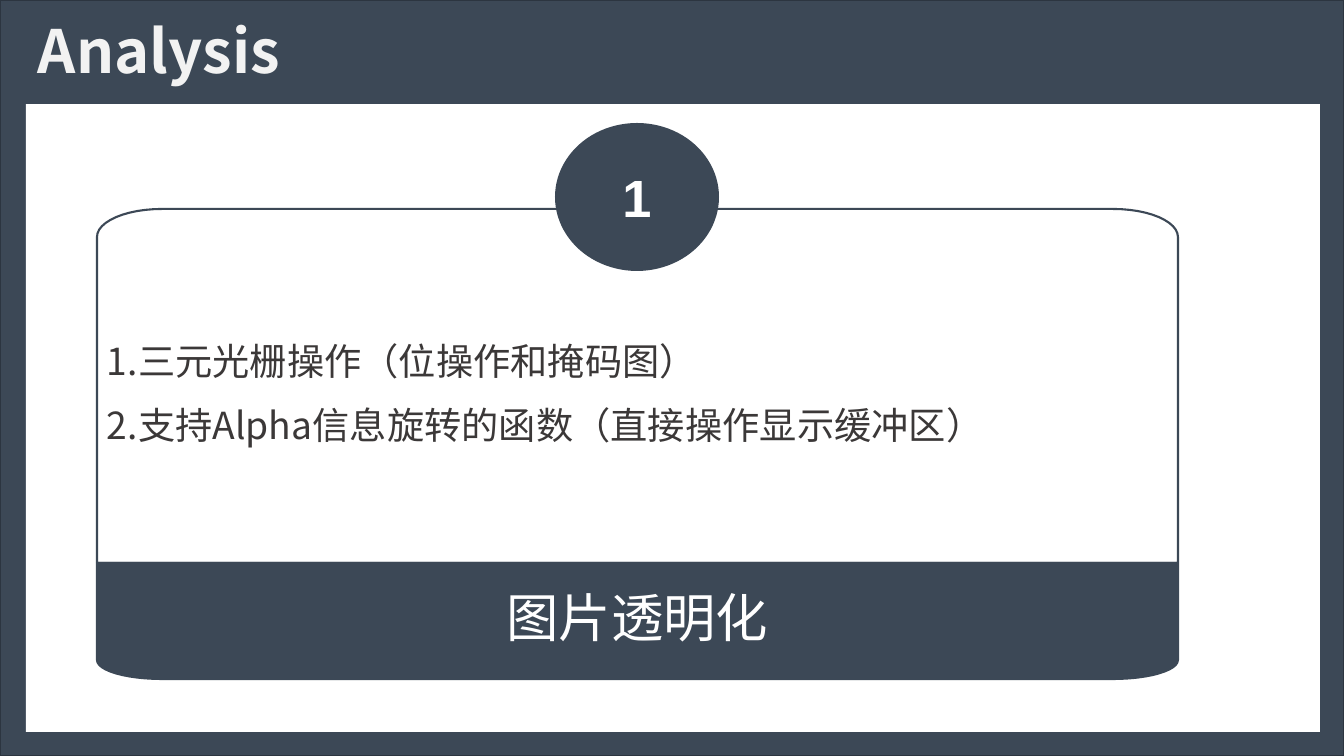
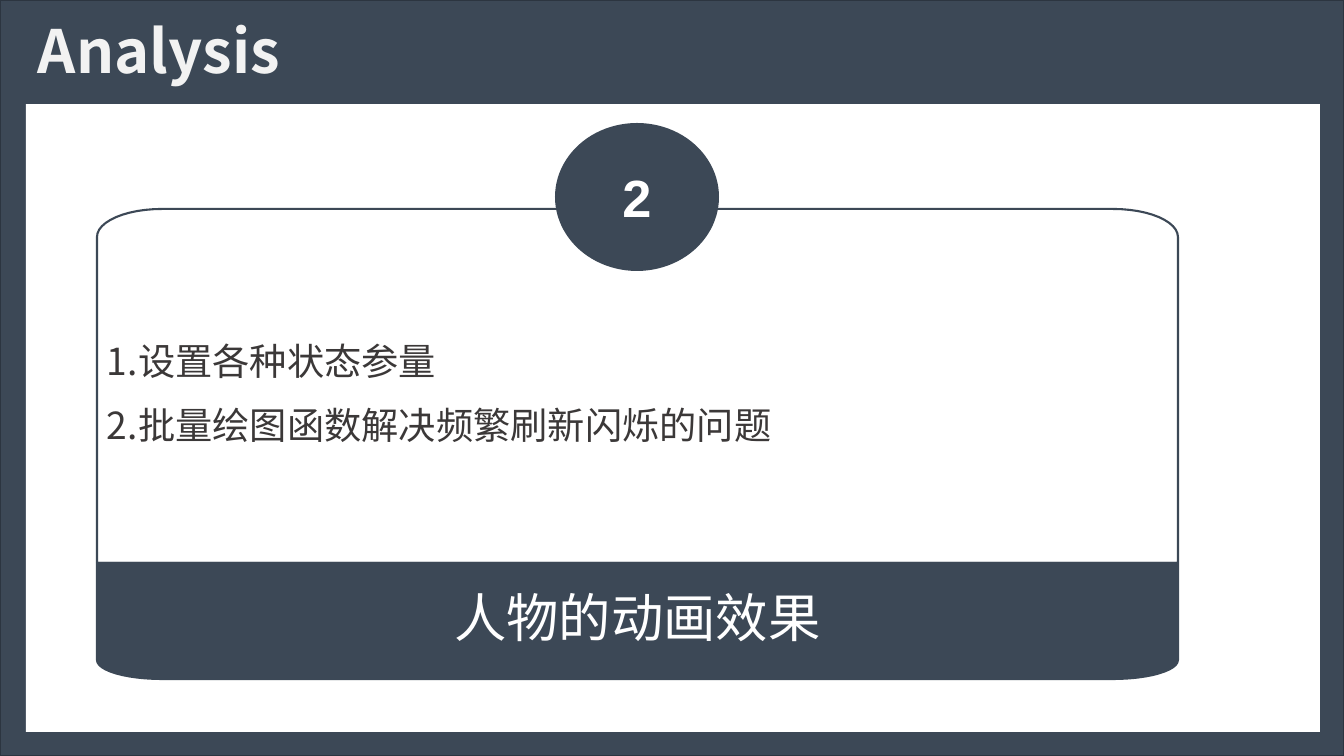
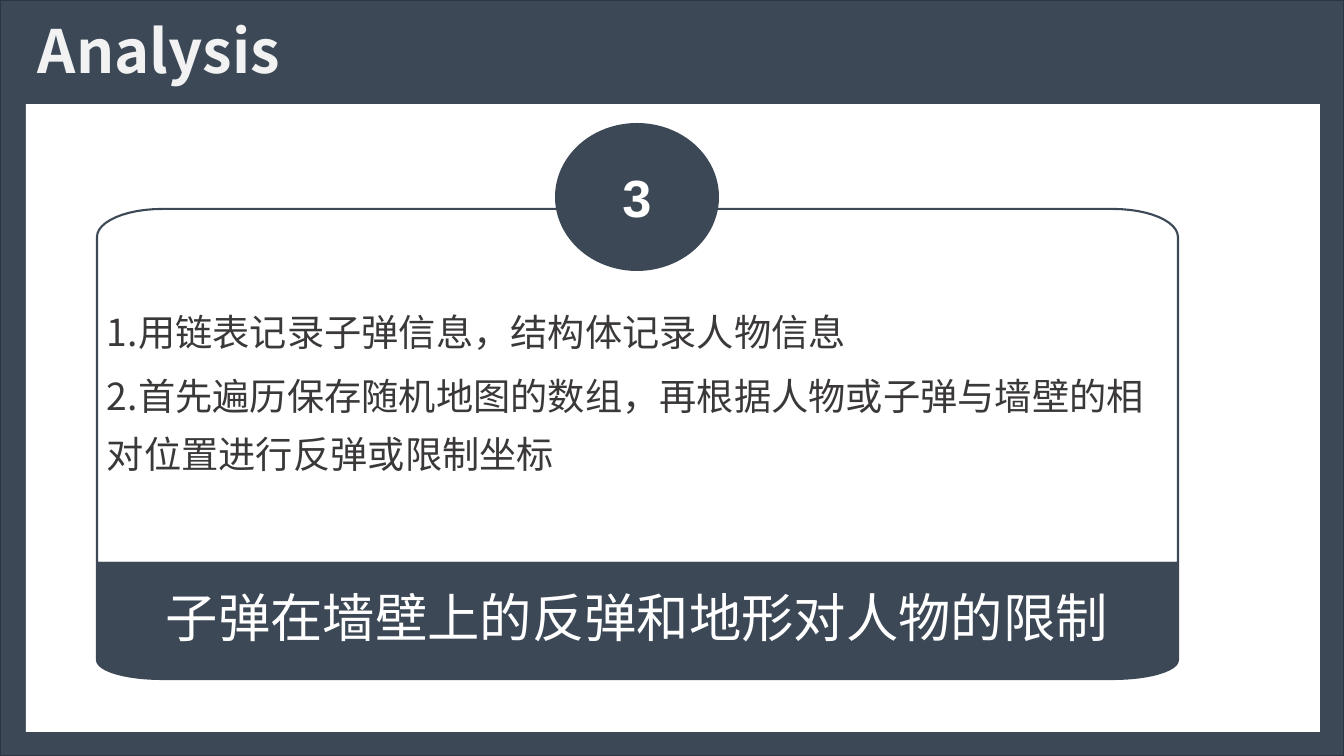
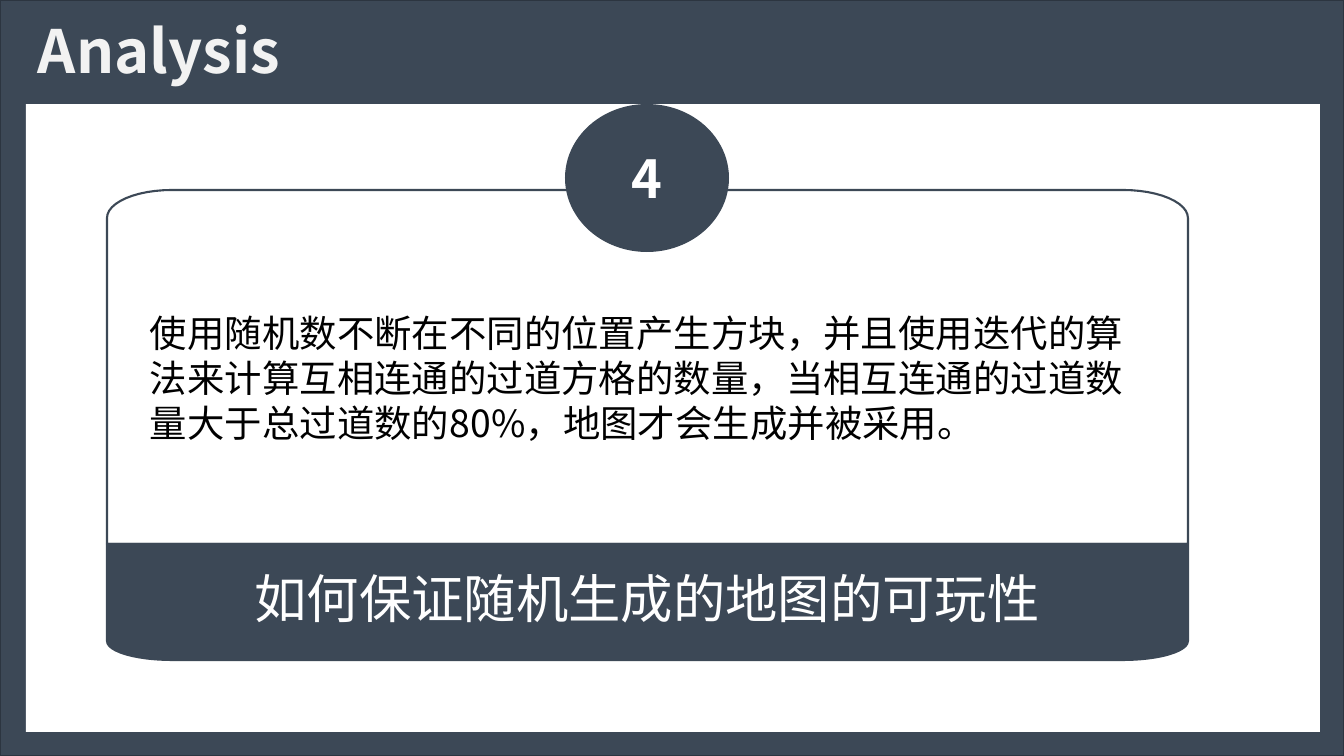
"""Build the four Analysis slides, each a numbered card with a caption band."""
from dataclasses import dataclass
from math import cos, pi, sin

from lxml import etree
from pptx import Presentation
from pptx.dml.color import RGBColor
from pptx.enum.shapes import MSO_SHAPE
from pptx.enum.text import MSO_ANCHOR, PP_ALIGN
from pptx.oxml.ns import qn
from pptx.util import Emu, Pt

RECT, OVAL = MSO_SHAPE.RECTANGLE, MSO_SHAPE.OVAL
LEFT, CENTER = PP_ALIGN.LEFT, PP_ALIGN.CENTER
TOP, MIDDLE = MSO_ANCHOR.TOP, MSO_ANCHOR.MIDDLE

W, H = 1344, 756
PX = 12192000 / W


@dataclass(frozen=True)
class Theme:
    slate: str = "3C4856"
    edge: str = "2C3540"
    white: str = "FFFFFF"
    title: str = "F2F2F2"
    body: str = "3B3838"
    black: str = "000000"
    sans: str = "Noto Sans CJK SC"
    digit: str = "Arial"
    title_pt: float = 42.6
    big_pt: float = 37.4
    body_pt: float = 26.6
    note_pt: float = 26.7


T = Theme()


def paint(sp, fill, line=None, width=1.5):
    sp.shadow.inherit = False
    sp.fill.solid()
    sp.fill.fore_color.rgb = RGBColor.from_string(fill)
    if line:
        sp.line.color.rgb = RGBColor.from_string(line)
        sp.line.width = Pt(width)
    else:
        sp.line.fill.background()


def write(sp, lines, size, color, font=T.sans, bold=False, align=LEFT,
          anchor=MIDDLE, spacing=1.0, after=0, inset=None):
    tf = sp.text_frame
    tf.word_wrap = True
    tf.vertical_anchor = anchor
    if inset is not None:
        tf.margin_left = tf.margin_right = Emu(round(inset * PX))
        tf.margin_top = tf.margin_bottom = 0
    for i, line in enumerate(lines):
        p = tf.add_paragraph() if i else tf.paragraphs[0]
        p.alignment = align
        p.line_spacing = spacing
        p.space_after = Pt(after)
        r = p.add_run()
        r.text = line
        r.font.size = Pt(size)
        r.font.bold = bold
        r.font.name = font
        r.font.color.rgb = RGBColor.from_string(color)
        etree.SubElement(r.font._element, qn("a:ea"), typeface=T.sans)


CARD_W, CARD_H, BAND_H = 1081, 354, 116
CORNER_W, CARD_CORNER, BAND_CORNER = 65, 28, 19
BADGE_W, BADGE_H, BADGE_RISE = 164, 148, 86
ARC = [i * pi / 24 for i in range(13)]

slides = [
    (97, 209, "1", T.digit, "图片透明化",
     ["1.三元光栅操作（位操作和掩码图）",
      "2.支持Alpha信息旋转的函数（直接操作显示缓冲区）"], None),
    (97, 209, "2", T.digit, "人物的动画效果",
     ["1.设置各种状态参量", "2.批量绘图函数解决频繁刷新闪烁的问题"], None),
    (97, 209, "3", T.digit, "子弹在墙壁上的反弹和地形对人物的限制",
     ["1.用链表记录子弹信息，结构体记录人物信息",
      "2.首先遍历保存随机地图的数组，再根据人物或子弹与墙壁的相对位置进行反弹或限制坐标"], None),
    (107, 190, "4", T.sans, "如何保证随机生成的地图的可玩性", [],
     "使用随机数不断在不同的位置产生方块，并且使用迭代的算法来计算互相连通的过道方格的数量，"
     "当相互连通的过道数量大于总过道数的80%，地图才会生成并被采用。"),
]

prs = Presentation()
prs.slide_width, prs.slide_height = round(W * PX), round(H * PX)

for left, top, number, number_font, caption, points, note in slides:
    s = prs.slides.add_slide(prs.slide_layouts[6])

    for box, fill, line in (((0, 0, W, H), T.slate, T.edge),
                            ((26, 104, 1294, 628), T.white, None)):
        sp = s.shapes.add_shape(RECT, *(round(v * PX) for v in box))
        paint(sp, fill, line, 1)

    right, seam = left + CARD_W, top + CARD_H
    parts = []
    for tip, corner, fill in ((top, CARD_CORNER, T.white),
                              (seam + BAND_H, -BAND_CORNER, T.slate)):
        curve = [(CORNER_W * (1 - cos(a)), tip + corner * (1 - sin(a))) for a in ARC]
        outline = [(left + x, y) for x, y in curve]
        outline += [(right - x, y) for x, y in reversed(curve)]
        outline.append((right, seam))
        fb = s.shapes.build_freeform(round(left * PX), round(seam * PX))
        fb.add_line_segments([(round(x * PX), round(y * PX)) for x, y in outline])
        sp = fb.convert_to_shape()
        paint(sp, fill, T.slate)
        parts.append(sp)
    card, band = parts
    if points:
        write(card, points, T.body_pt, T.body, spacing=1.3, after=4, inset=10)
    write(band, [caption], T.big_pt, T.white, align=CENTER, spacing=0.9,
          after=13, inset=0)

    badge = (left + (CARD_W - BADGE_W) // 2, top - BADGE_RISE, BADGE_W, BADGE_H)
    sp = s.shapes.add_shape(OVAL, *(round(v * PX) for v in badge))
    paint(sp, T.slate)
    write(sp, [number], T.big_pt, T.white, number_font, bold=True, align=CENTER)

    sp = s.shapes.add_textbox(*(round(v * PX) for v in (28, 4, 1159, 101)))
    write(sp, ["Analysis"], T.title_pt, T.title, bold=True, spacing=0.9)

    if note:
        sp = s.shapes.add_textbox(*(round(v * PX) for v in (140, 305, 994, 146)))
        write(sp, [note], T.note_pt, T.black, anchor=TOP)

prs.save("out.pptx")
